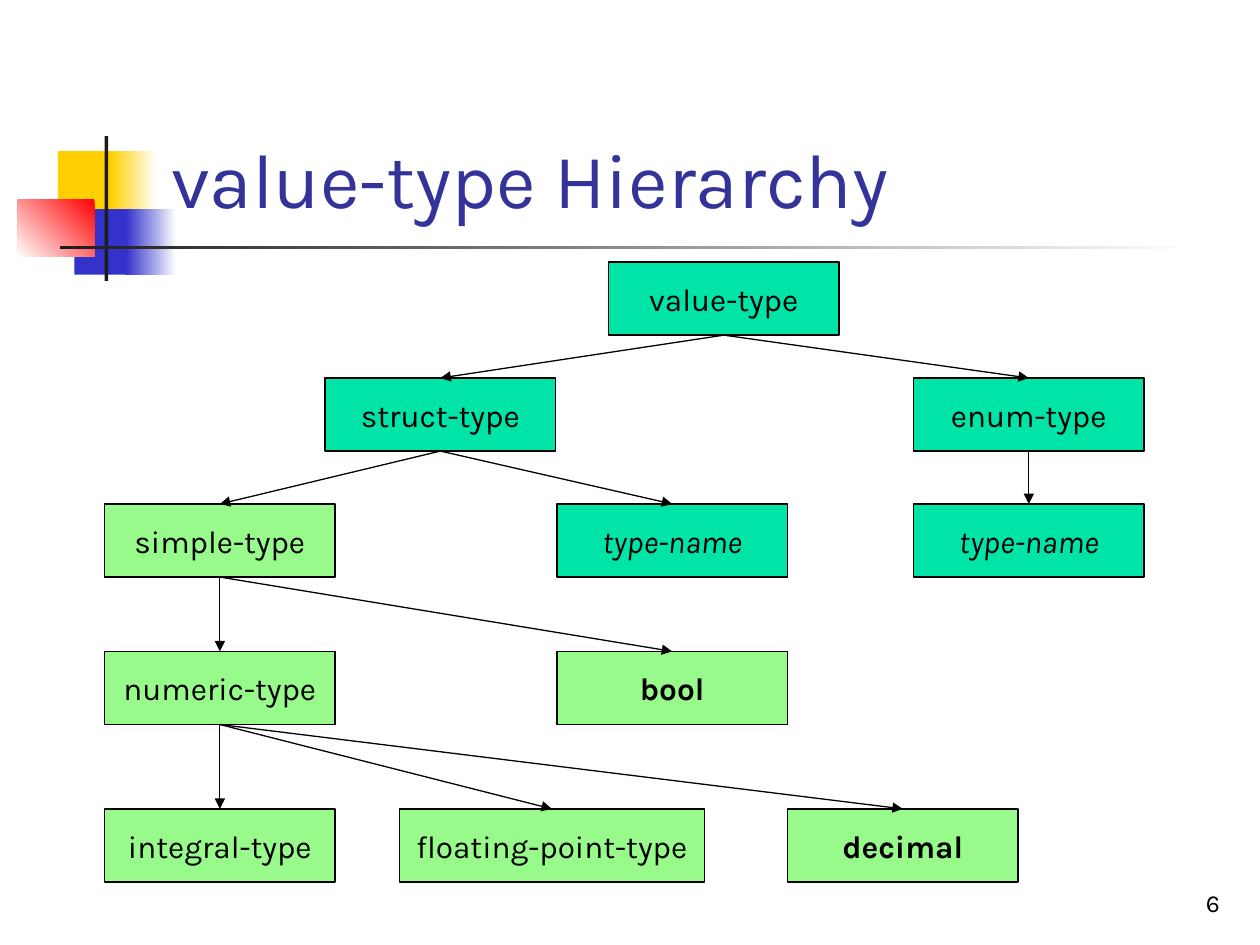
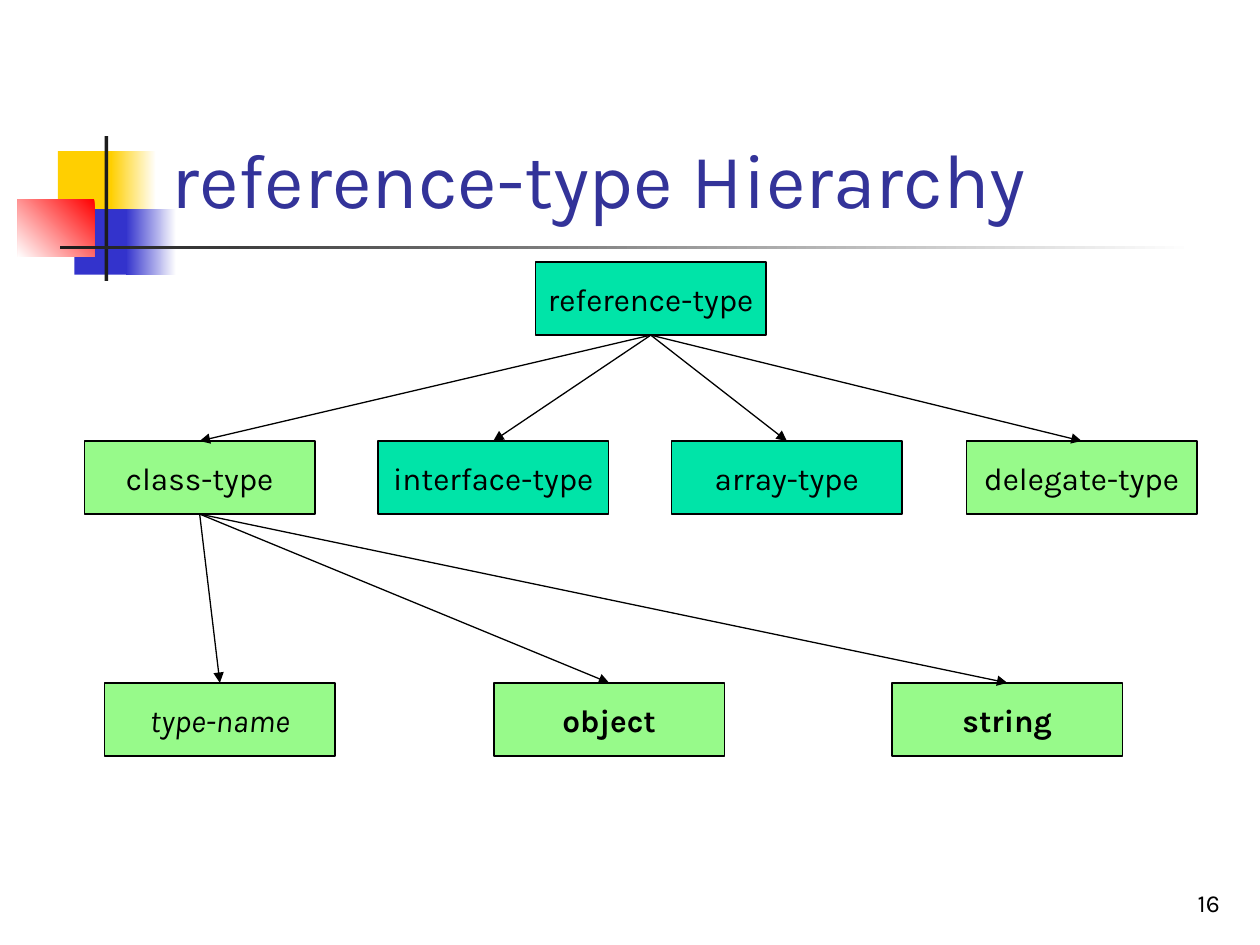
import dataclasses

import pptx
import pptx.dml.color
import pptx.enum.shapes
import pptx.enum.text
import pptx.oxml
import pptx.oxml.ns
import pptx.util
from pptx.util import Inches

RGBColor = pptx.dml.color.RGBColor
ALIGN = pptx.enum.text.PP_ALIGN
ANCHOR = pptx.enum.text.MSO_ANCHOR

TEAL = RGBColor(0x00, 0xE4, 0xA8)
GREEN = RGBColor(0x97, 0xFA, 0x8A)
YELLOW = RGBColor(0xFF, 0xCF, 0x01)
BLUE = RGBColor(0x33, 0x33, 0xCC)
RED = RGBColor(0xFF, 0x00, 0x00)
CHARCOAL = RGBColor(0x1C, 0x1C, 0x1C)
NAVY = RGBColor(0x33, 0x33, 0x99)
BLACK = RGBColor(0x00, 0x00, 0x00)
WHITE = RGBColor(0xFF, 0xFF, 0xFF)

FONT = "Karla"
LINE_WIDTH = pptx.util.Pt(0.75)
BOX_WIDTH, BOX_HEIGHT = 1.83, 0.58
BOTTOM_SITE, TOP_SITE = 2, 0


@dataclasses.dataclass
class Node:
    """A box of a type tree; left is measured from the left of the tree."""
    label: str
    left: float
    fill: RGBColor = GREEN
    children: tuple = ()
    width: float = BOX_WIDTH
    bold: bool = False
    italic: bool = False


VALUE_TYPES = Node("value-type", 4, TEAL, (
    Node("struct-type", 1.75, TEAL, (
        Node("simple-type", 0, children=(
            Node("numeric-type", 0, children=(
                Node("integral-type", 0),
                Node("floating-point-type", 2.34, width=2.42),
                Node("decimal", 5.42, bold=True))),
            Node("bool", 3.59, bold=True))),
        Node("type-name", 3.59, TEAL, italic=True))),
    Node("enum-type", 6.42, TEAL, (
        Node("type-name", 6.42, TEAL, italic=True),))))

REFERENCE_TYPES = Node("reference-type", 3.58, TEAL, (
    Node("class-type", 0, children=(
        Node("type-name", 0.16, italic=True),
        Node("object", 3.25, bold=True),
        Node("string", 6.41, bold=True))),
    Node("interface-type", 2.33, TEAL),
    Node("array-type", 4.66, TEAL),
    Node("delegate-type", 7)))


def write_text(frame, text, *, size=18, color=BLACK, align=ALIGN.CENTER,
               anchor=ANCHOR.MIDDLE, wrap=True, bold=False, italic=False):
    frame.word_wrap = wrap
    frame.auto_size = pptx.enum.text.MSO_AUTO_SIZE.NONE
    frame.vertical_anchor = anchor
    para = frame.paragraphs[0]
    para.alignment = align
    span = para.add_run()
    span.text = text
    span.font.name = FONT
    span.font.size = pptx.util.Pt(size)
    span.font.color.rgb = color
    span.font.bold = bold
    span.font.italic = italic


def add_box(page, left, top, width, height):
    box = page.shapes.add_shape(
        pptx.enum.shapes.MSO_SHAPE.RECTANGLE,
        Inches(left), Inches(top), Inches(width), Inches(height))
    box.shadow.inherit = False
    return box


def fill_gradient(box, start, end, angle):
    box.fill.gradient()
    box.fill.gradient_angle = angle
    for stop, color in zip(box.fill.gradient_stops, (start, end)):
        stop.color.rgb = color


def add_emblem(page, left, top):
    """Draw the coloured squares and crossed rules on the page's layout."""
    parts = (
        (0.32, 0.12, 0.48, 0.52, YELLOW),
        (0.74, 0.12, 0.36, 0.52, (WHITE, YELLOW, 180)),
        (0.45, 0.58, 0.46, 0.52, BLUE),
        (0.86, 0.58, 0.4, 0.52, (WHITE, BLUE, 180)),
        (0, 0.5, 0.61, 0.46, (RED, WHITE, 225)),
        (0.69, 0, 0.03, 1.15, CHARCOAL),
        (0.34, 0.87, 9, 0.03, (WHITE, CHARCOAL, 180)),
    )
    for number, (x, y, width, height, paint) in enumerate(parts, 101):
        box = add_box(page, left + x, top + y, width, height)
        box.line.fill.background()
        if isinstance(paint, RGBColor):
            box.fill.solid()
            box.fill.fore_color.rgb = paint
        else:
            fill_gradient(box, *paint)
        box.element.nvSpPr.cNvPr.id = number
        page.slide_layout.shapes.element.append(box.element)


def place_title(layout, left, top, width, height):
    title = layout.placeholders[0]
    title.left, title.top = Inches(left), Inches(top)
    title.width, title.height = Inches(width), Inches(height)


def add_page_number(page, number, left, top, width, height):
    box = page.shapes.add_textbox(
        Inches(left), Inches(top), Inches(width), Inches(height))
    write_text(box.text_frame, str(number), size=14, align=ALIGN.RIGHT,
               anchor=ANCHOR.BOTTOM)


def add_arrow(page, parent, child):
    arrow = page.shapes.add_connector(
        pptx.enum.shapes.MSO_CONNECTOR.STRAIGHT, 0, 0, 0, 0)
    arrow.begin_connect(parent, BOTTOM_SITE)
    arrow.end_connect(child, TOP_SITE)
    arrow.line.color.rgb = BLACK
    arrow.line.width = LINE_WIDTH
    namespace = pptx.oxml.ns.nsdecls("a")
    arrow.line._get_or_add_ln().append(pptx.oxml.parse_xml(
        f'<a:tailEnd {namespace} type="triangle"/>'))
    arrow.element.spPr.append(
        pptx.oxml.parse_xml(f"<a:effectLst {namespace}/>"))


def add_tree(page, node, left, top, rows):
    """Draw a node and its descendants; rows holds the offset of each level."""
    box = add_box(page, left + node.left, top + rows[0],
                  node.width, BOX_HEIGHT)
    box.fill.solid()
    box.fill.fore_color.rgb = node.fill
    box.line.color.rgb = BLACK
    box.line.width = LINE_WIDTH
    write_text(box.text_frame, node.label, wrap=False,
               bold=node.bold, italic=node.italic)
    for child in node.children:
        add_arrow(page, box, add_tree(page, child, left, top, rows[1:]))
    return box


def add_hierarchy_page(deck, layout, title, number, tree, left, rows):
    page = deck.slides.add_slide(layout)
    write_text(page.shapes.title.text_frame, title, size=44, color=NAVY,
               align=ALIGN.LEFT, anchor=ANCHOR.BOTTOM)
    add_tree(page, tree, left, 2.08, rows)
    add_page_number(page, number, 7.7, 6.83, 2.08, 0.5)
    return page


def main():
    deck = pptx.Presentation()
    deck.slide_width, deck.slide_height = Inches(10), Inches(7.5)
    layout = deck.slide_layouts.get_by_name("Title Only")
    place_title(layout, 1.26, 0.23, 8.52, 1.6)
    page = add_hierarchy_page(deck, layout, "value-type Hierarchy", 6,
                              VALUE_TYPES, 0.83, (0, 0.92, 1.92, 3.09, 4.34))
    add_emblem(page, 0.14, 1.08)
    add_hierarchy_page(deck, layout, "reference-type Hierarchy", 16,
                       REFERENCE_TYPES, 0.67, (0, 1.42, 3.34))
    deck.save("out.pptx")


if __name__ == "__main__":
    main()
